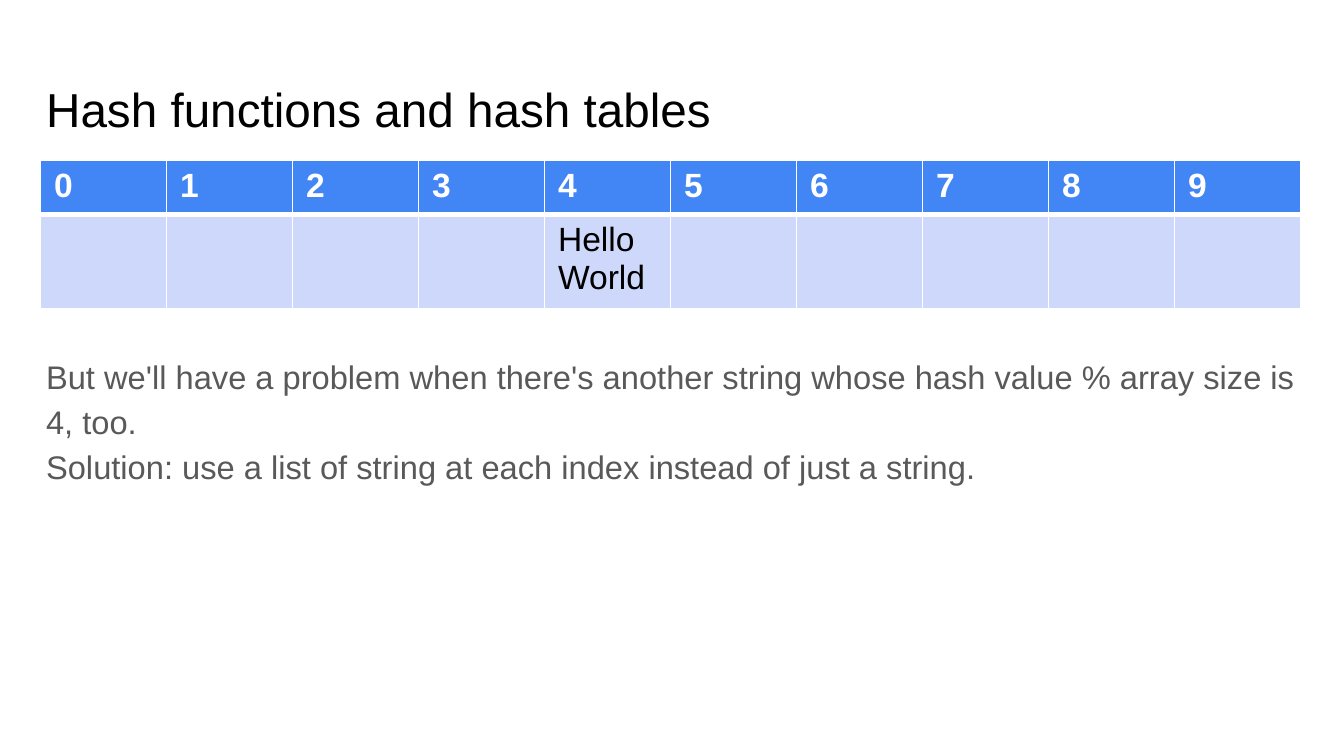
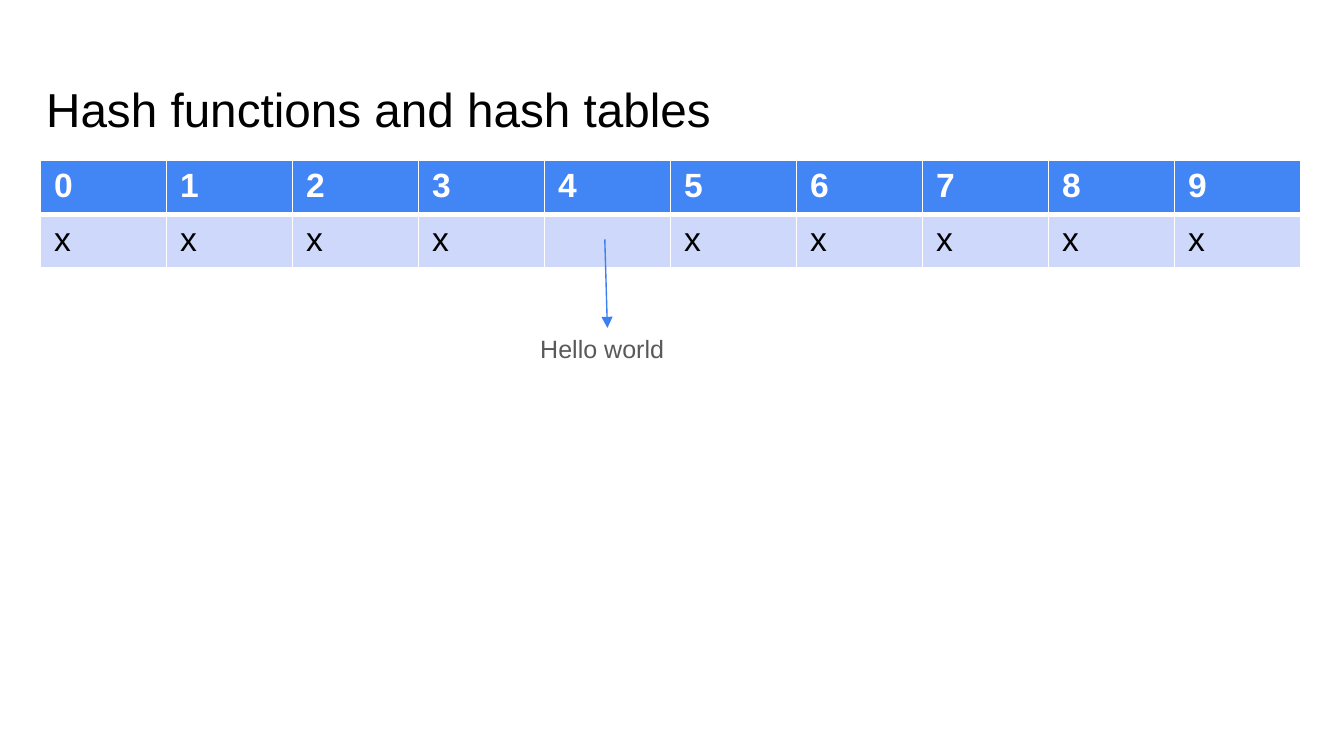
import pptx
import pptx.dml.color
import pptx.enum.dml
import pptx.enum.shapes
import pptx.enum.text
import pptx.oxml
import pptx.oxml.ns
import pptx.util
from pptx.util import Pt

FONT = "Arial"
COLORS = {
    "title": "000000",
    "body": "595959",
    "header": "4285F4",
    "header_text": "FFFFFF",
    "bucket": "CDD8FB",
    "bucket_text": "000000",
    "border": "FFFFFF",
    "arrow": "3B7FF2",
}
TITLE = "Hash functions and hash tables"
BUCKETS = 10
COLUMN_WIDTH = 67.5
ROW_HEIGHT = 28.8
THIN, THICK = 1, 3
ANCHOR = pptx.enum.text.MSO_ANCHOR
NAMESPACES = pptx.oxml.ns.nsdecls("a")


def style(para, size, color, bold=False):
    para.font.name = FONT
    para.font.size = Pt(size)
    para.font.bold = bold
    para.font.color.rgb = pptx.dml.color.RGBColor.from_string(COLORS[color])


def add_text(page, place, lines, size, color, spacing=1.0, anchor=ANCHOR.TOP):
    box = page.shapes.add_textbox(*(Pt(length) for length in place))
    frame = box.text_frame
    frame.word_wrap = True
    frame.vertical_anchor = anchor
    frame.margin_left = frame.margin_right = 0
    frame.margin_top = frame.margin_bottom = Pt(7.2)
    frame.text = "\n".join(lines)
    for para in frame.paragraphs:
        para.line_spacing = spacing
        style(para, size, color)


deck = pptx.Presentation()
deck.slide_width, deck.slide_height = Pt(720), Pt(405)

# Title and hash table on each slide
bucket_rows = [
    ["Hello World" if index == 4 else "" for index in range(BUCKETS)],
    ["" if index == 4 else "x" for index in range(BUCKETS)],
]
for buckets in bucket_rows:
    page = deck.slides.add_slide(deck.slide_layouts[6])
    add_text(page, (24.7, 35.2, 671, 45.4), [TITLE], 25.5, "title", anchor=ANCHOR.BOTTOM)

    table = page.shapes.add_table(
        2, BUCKETS, Pt(21.8), Pt(86), Pt(COLUMN_WIDTH * BUCKETS), Pt(ROW_HEIGHT * 2)
    ).table
    for row, values in enumerate([range(BUCKETS), buckets]):
        is_header = row == 0
        fill, text_color = ("header", "header_text") if is_header else ("bucket", "bucket_text")
        borders = {
            "lnL": THIN,
            "lnR": THIN,
            "lnT": THIN if is_header else THICK,
            "lnB": THICK if is_header else THIN,
        }
        for column, value in enumerate(values):
            cell = table.cell(row, column)
            cell.text = str(value)
            style(cell.text_frame.paragraphs[0], 18, text_color, bold=is_header)
            cell.fill.solid()
            cell.fill.fore_color.rgb = pptx.dml.color.RGBColor.from_string(COLORS[fill])
            properties = cell._tc.get_or_add_tcPr()
            for position, (side, width) in enumerate(borders.items()):
                properties.insert(position, pptx.oxml.parse_xml(
                    f'<a:{side} {NAMESPACES} w="{int(Pt(width))}"><a:solidFill>'
                    f'<a:srgbClr val="{COLORS["border"]}"/></a:solidFill></a:{side}>'
                ))

collision_page, list_page = deck.slides

# Slide 1: the collision problem
add_text(
    collision_page,
    (24.7, 180.7, 685.4, 213.8),
    [
        "But we'll have a problem when there's another string whose hash value % array size is 4, too.",
        "Solution: use a list of string at each index instead of just a string.",
    ],
    17.5,
    "body",
    spacing=1.15,
)

# Slide 2: bucket 4 points to its list
add_text(list_page, (289.4, 172.8, 114.5, 29.5), ["Hello world"], 13.4, "body", spacing=0.95)
arrow = list_page.shapes.add_connector(
    pptx.enum.shapes.MSO_CONNECTOR.STRAIGHT, Pt(324), Pt(128.2), Pt(325.4), Pt(175.7)
)
arrow.line.width = Pt(0.75)
arrow.line.color.rgb = pptx.dml.color.RGBColor.from_string(COLORS["arrow"])
arrow.line._get_or_add_ln().append(
    pptx.oxml.parse_xml(f'<a:tailEnd {NAMESPACES} type="triangle"/>')
)
arrow._element.spPr.append(pptx.oxml.parse_xml(f"<a:effectLst {NAMESPACES}/>"))

deck.save("out.pptx")
